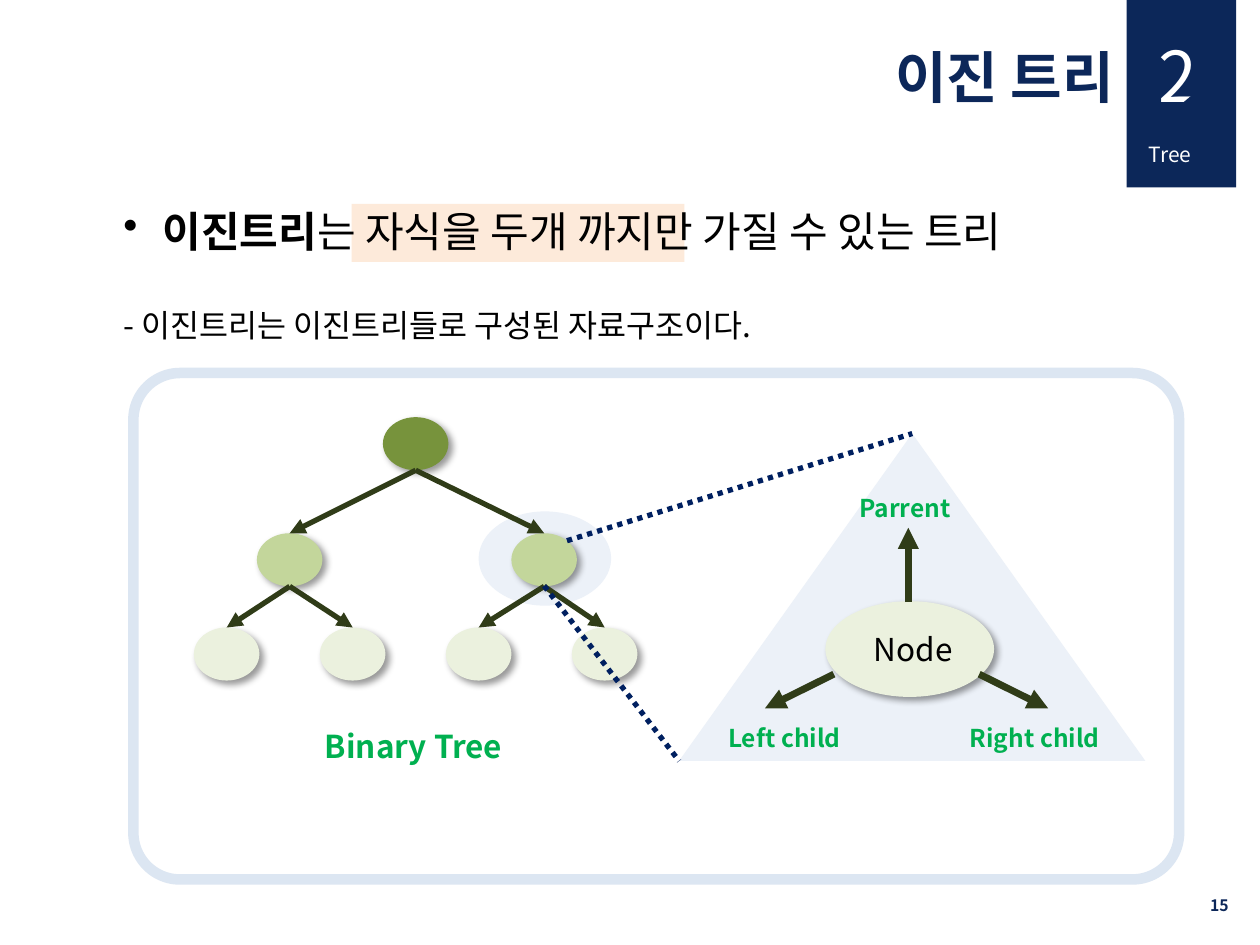
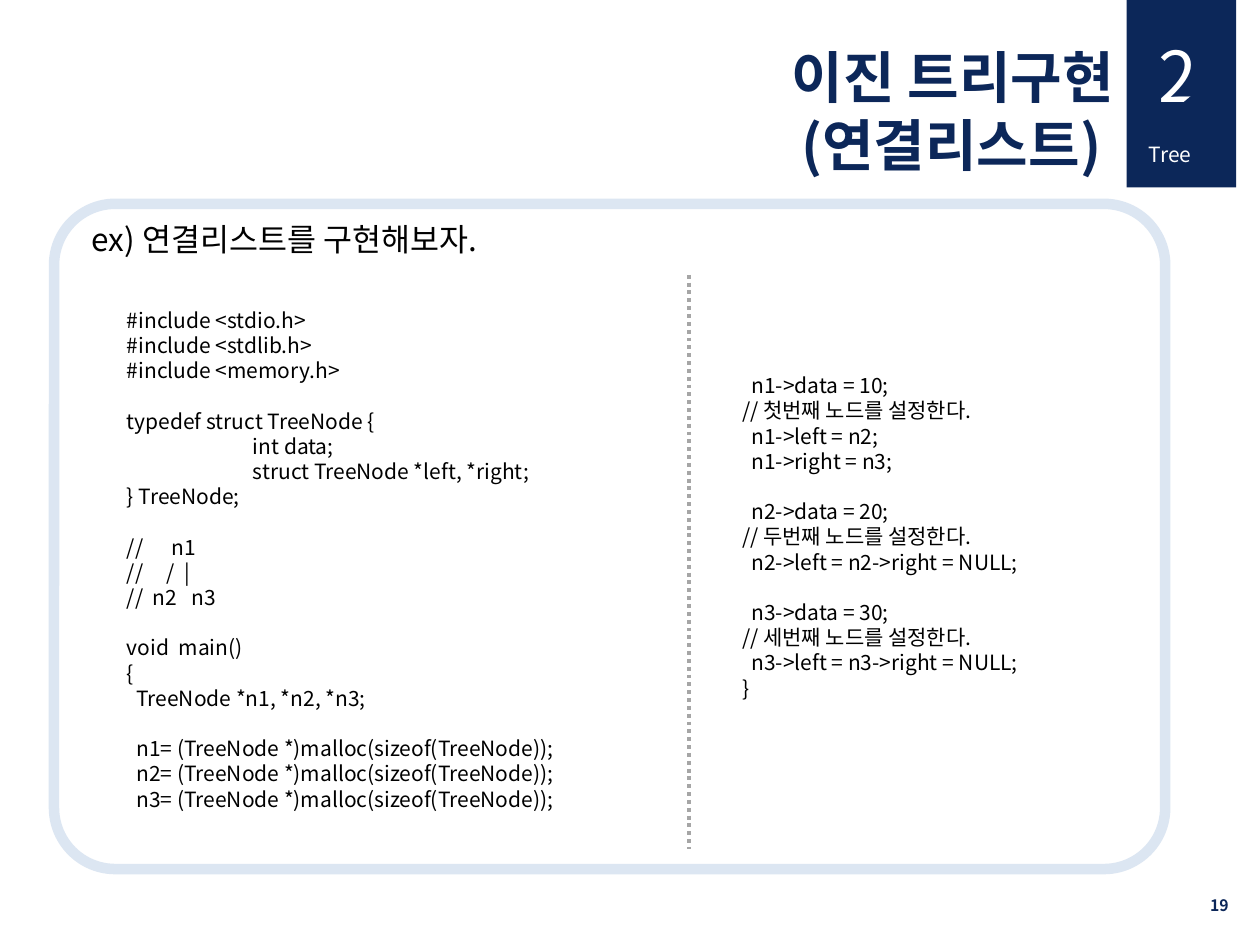
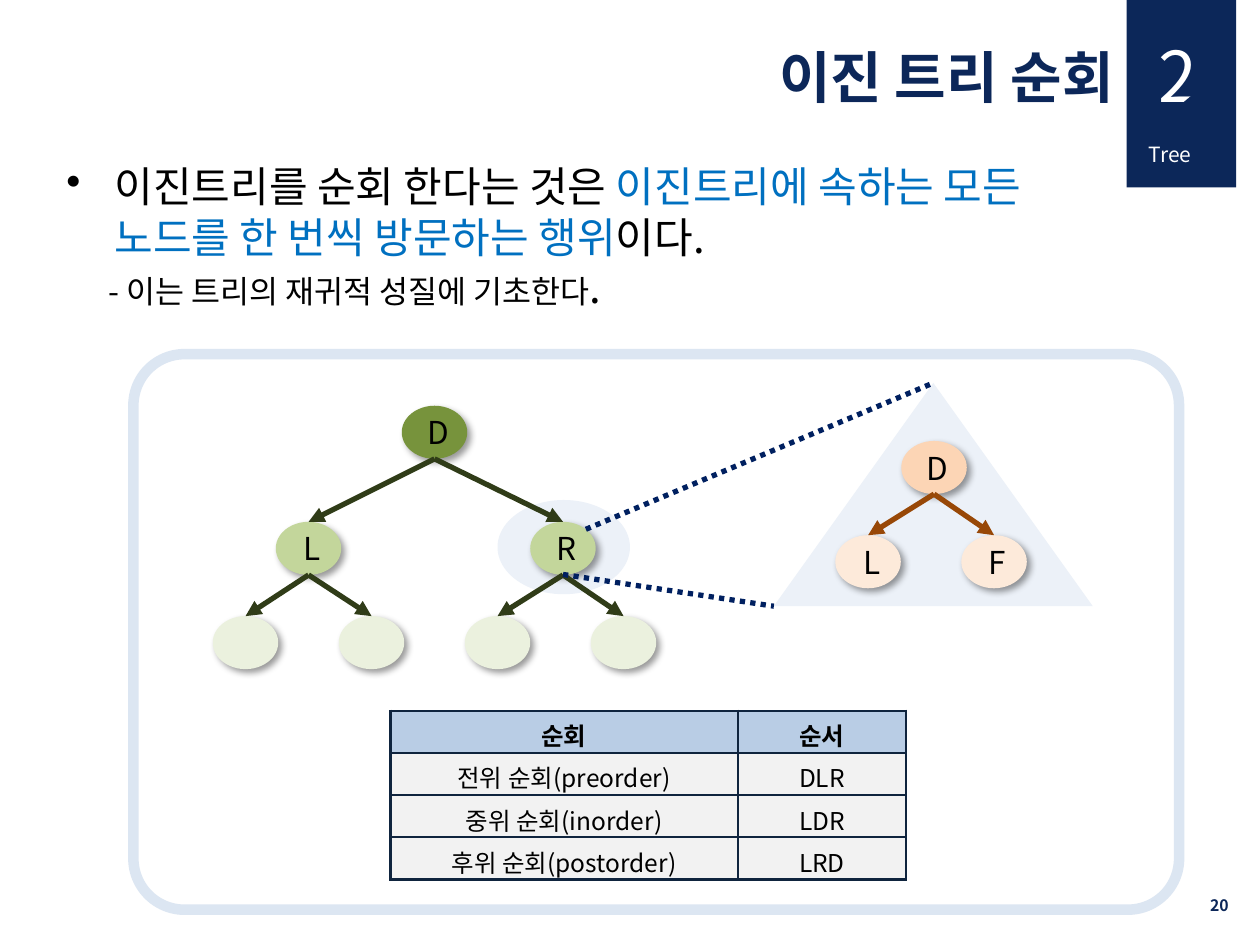
from lxml.etree import SubElement
from pptx import Presentation
from pptx.dml.color import RGBColor
from pptx.enum.dml import MSO_LINE
from pptx.enum.shapes import MSO_CONNECTOR, MSO_SHAPE
from pptx.enum.text import MSO_ANCHOR, PP_ALIGN
from pptx.oxml.ns import qn
from pptx.util import Cm, Pt

FONT = "Noto Sans CJK KR"
HUES = {
    "navy": "0C2759", "white": "FFFFFF", "black": "000000",
    "frame": "DCE6F2", "pale": "ECF1F8", "peach": "FDEADA",
    "root": "77933C", "branch": "C3D69B", "leaf": "EBF1DE",
    "arrow": "303C18", "label": "00B050", "dots": "002060",
    "rule": "A6A6A6", "key": "0070C0", "apricot": "FCD5B5",
    "brown": "984807", "border": "0F243E", "head": "B9CDE5",
    "body": "F2F2F2",
}
NODE = (1.32, 1.07)
STEP = 2.54
TAB = 2.54
INDENT = 0.19

LEFT_CODE = """#include <stdio.h>
#include <stdlib.h>
#include <memory.h>

typedef struct TreeNode {
\tint data;
\tstruct TreeNode *left, *right;
} TreeNode;

//      n1
//     /  |
//  n2   n3

void  main()
{
  TreeNode *n1, *n2, *n3;

  n1= (TreeNode *)malloc(sizeof(TreeNode));
  n2= (TreeNode *)malloc(sizeof(TreeNode));
  n3= (TreeNode *)malloc(sizeof(TreeNode));"""

RIGHT_CODE = """  n1->data = 10;
// 첫번째 노드를 설정한다.
  n1->left = n2;
  n1->right = n3;

  n2->data = 20;
// 두번째 노드를 설정한다.
  n2->left = n2->right = NULL;

  n3->data = 30;
// 세번째 노드를 설정한다.
  n3->left = n3->right = NULL;
}"""

ORDERS = [
    ("순회", "순서"),
    ("전위 순회(preorder)", "DLR"),
    ("중위 순회(inorder)", "LDR"),
    ("후위 순회(postorder)", "LRD"),
]


def rgb(name):
    return RGBColor.from_string(HUES[name])


def write(frame, text, size=18, color="black", bold=False, align=None,
          left=0, hang=0, gap=0, mark=None):
    """Add a paragraph; text is a string or a list of (string, format) runs."""
    para = frame.paragraphs[0]
    if para.runs:
        para = frame.add_paragraph()
    para.alignment = align
    para.space_before = Pt(gap)
    if left or mark:
        props = para._p.get_or_add_pPr()
        props.set("marL", str(Cm(left)))
        props.set("indent", str(Cm(-hang)))
        if mark:
            SubElement(props, qn("a:buChar"), char=mark)
    base = {"size": size, "color": color, "bold": bold}
    for part, extra in [(text, {})] if isinstance(text, str) else text:
        form = {**base, **extra}
        run = para.add_run()
        run.text = part
        font = run.font
        font.size = Pt(form["size"])
        font.bold = form["bold"]
        font.color.rgb = rgb(form["color"])
        font.name = FONT
        SubElement(run._r.get_or_add_rPr(), qn("a:ea"), typeface=FONT)


def area(slide, box, text=None, wrap=True, anchor=MSO_ANCHOR.TOP, **form):
    """Add a text box and return its frame."""
    frame = slide.shapes.add_textbox(*map(Cm, box)).text_frame
    frame.word_wrap = wrap
    frame.vertical_anchor = anchor
    if text:
        write(frame, text, **form)
    return frame


def block(slide, kind, box, color):
    """Add a flat filled shape."""
    shape = slide.shapes.add_shape(kind, *map(Cm, box))
    shape.shadow.inherit = False
    shape.fill.solid()
    shape.fill.fore_color.rgb = rgb(color)
    shape.line.fill.background()
    return shape


def link(slide, start, end, color="arrow", width=3, dots=False):
    """Draw an arrow, or a dotted line without a head."""
    line = slide.shapes.add_connector(
        MSO_CONNECTOR.STRAIGHT, *map(Cm, (*start, *end)))
    line.line.color.rgb = rgb(color)
    line.line.width = Pt(width)
    if dots:
        line.line.dash_style = MSO_LINE.ROUND_DOT
    else:
        SubElement(line.get_or_add_ln(), qn("a:tailEnd"), type="triangle")
    SubElement(line._element.spPr, qn("a:effectLst"))


def node(slide, x, y, color, name="", size=NODE):
    """Add a shadowed oval; return the middle of its top and bottom."""
    wide, high = size
    oval = block(slide, MSO_SHAPE.OVAL, (x, y, wide, high), color)
    glow = SubElement(
        oval._element.spPr.find(qn("a:effectLst")), qn("a:outerShdw"),
        blurRad=str(Pt(4)), dist=str(Pt(3)), dir=str(45 * 60000),
        algn="tl", rotWithShape="0")
    tint = SubElement(glow, qn("a:srgbClr"), val=HUES["black"])
    SubElement(tint, qn("a:alpha"), val="40000")
    if name:
        frame = oval.text_frame
        frame.word_wrap = False
        frame.vertical_anchor = MSO_ANCHOR.MIDDLE
        write(frame, " " + name, align=PP_ALIGN.CENTER)
    mid = x + wide / 2
    return (mid, y), (mid, y + high)


def fan(slide, top, kids, color="arrow"):
    """Join the foot of one node to the heads of its children."""
    for kid in kids:
        link(slide, top[1], kid[0], color)


def tree(slide, x, y, names=("", "", "")):
    """Draw the seven-node tree from its top left corner."""
    block(slide, MSO_SHAPE.OVAL, (x + 5.74, y + 1.9, 2.67, 1.9), "pale")
    root = node(slide, x + 1.5 * STEP, y, "root", names[0])
    pair = [node(slide, x + dx, y + 2.34, "branch", name)
            for dx, name in zip((1.27, 6.4), names[1:])]
    ends = [node(slide, x + i * STEP, y + 4.24, "leaf") for i in range(4)]
    fan(slide, root, pair)
    fan(slide, pair[0], ends[:2])
    fan(slide, pair[1], ends[2:])


def zoom(slide, x, y, box):
    """Open the right branch of the tree at x, y into a triangle."""
    left, top, wide, high = box
    block(slide, MSO_SHAPE.ISOSCELES_TRIANGLE, box, "pale")
    for start, end in (((7.06, 3.4), (left, top + high)),
                       ((7.52, 2.49), (left + wide / 2, top))):
        link(slide, (x + start[0], y + start[1]), end, "dots", dots=True)


def parts(slide, x, y):
    """Label a node's three neighbours inside the triangle."""
    node(slide, x + 2.95, y + 3.38, "leaf", "Node", (3.4, 1.93))
    for x1, y1, x2, y2 in ((3.12, 4.85, 1.73, 5.54),
                           (6.05, 4.85, 7.44, 5.54),
                           (4.62, 3.4, 4.62, 1.9)):
        link(slide, (x + x1, y + y1), (x + x2, y + y2), width=4)
    for dx, dy, wide, name in ((3.38, 1.07, 2.67, "Parrent"),
                               (0.74, 5.72, 3.2, "Left child"),
                               (5.61, 5.72, 3.51, "Right child")):
        area(slide, (x + dx, y + dy, wide, 0.86), name, wrap=False,
             size=14, color="label", bold=True)


def trio(slide, x, y):
    """Draw the small subtree inside the triangle."""
    kids = [node(slide, x + 1.24 + i * STEP, y + 3.07, "peach", name)
            for i, name in enumerate("LF")]
    top = node(slide, x + 2.57, y + 1.17, "apricot", "D")
    fan(slide, top, kids, "brown")


def badge(slide, x, y):
    block(slide, MSO_SHAPE.RECTANGLE, (x, y, 2.21, 3.78), "navy")
    area(slide, (x + 0.2, y + 2.72, 2.01, 0.76), "Tree", size=12,
         color="white")
    area(slide, (x + 0.4, y + 0.53, 1.6, 1.96), "2", size=40, color="white")
    fold = block(slide, MSO_SHAPE.ISOSCELES_TRIANGLE,
                 (x + 0.61, y + 1.52, 1.19, 0.99), "navy")
    fold.adjustments[0] = 1


def panel(slide, box):
    shape = block(slide, MSO_SHAPE.ROUNDED_RECTANGLE, box, "white")
    shape.adjustments[0] = 0.092
    shape.fill.background()
    shape.line.color.rgb = rgb("frame")
    shape.line.width = Pt(6)


def page(deck, title, number, box):
    """Start a slide with its title, badge, page number and panel."""
    slide = deck.slides.add_slide(deck.slide_layouts[6])
    form = {"color": "navy", "bold": True, "align": PP_ALIGN.RIGHT}
    frame = area(slide, (13.71, 0.74, 9, 1.63))
    for line in title:
        write(frame, line, size=32, **form)
    badge(slide, 22.71, 0)
    area(slide, (19.1, 17.73, 5.92, 1.02), number,
         anchor=MSO_ANCHOR.MIDDLE, size=9, **form)
    panel(slide, box)
    return slide


def code(slide, box, text):
    """Set a listing, turning leading space into paragraph indents."""
    frame = area(slide, box)
    for i, part in enumerate(text.split("\n\n")):
        for j, line in enumerate(part.split("\n")):
            left = (TAB if line.startswith("\t")
                    else INDENT if line.startswith("  ") else 0)
            write(frame, line.lstrip(), size=12, left=left,
                  gap=14.4 if i and not j else 0)


def edge(cell):
    props = cell._tc.get_or_add_tcPr()
    for side in ("lnL", "lnR", "lnT", "lnB"):
        line = SubElement(props, qn("a:" + side), w=str(Pt(1.5)))
        fill = SubElement(line, qn("a:solidFill"))
        SubElement(fill, qn("a:srgbClr"), val=HUES["border"])


def grid(slide, x, y, rows, cols, high):
    """Draw the table of visiting orders."""
    table = slide.shapes.add_table(
        len(rows), len(cols), Cm(x), Cm(y), Cm(sum(cols)),
        Cm(high * len(rows))).table
    table.first_row = table.horz_banding = False
    for col, wide in zip(table.columns, cols):
        col.width = Cm(wide)
    for i, row in enumerate(rows):
        table.rows[i].height = Cm(high)
        for j, text in enumerate(row):
            cell = table.cell(i, j)
            edge(cell)
            cell.fill.solid()
            cell.fill.fore_color.rgb = rgb("body" if i else "head")
            write(cell.text_frame, text, size=14, bold=not i,
                  align=PP_ALIGN.CENTER)


def concept(deck):
    slide = page(deck, ["이진 트리"], "15", (2.69, 7.52, 21.08, 10.21))
    block(slide, MSO_SHAPE.RECTANGLE, (7.09, 4.11, 6.71, 1.17), "peach")
    frame = area(slide, (2.24, 4.01, 20.22, 3.07))
    write(frame, [("이진트리", {"bold": True}),
                  ("는 자식을 두개 까지만 가질 수 있는 트리", {})],
          size=24, left=0.79, hang=0.79, mark="•")
    write(frame, "- 이진트리는 이진트리들로 구성된 자료구조이다.", gap=29)
    x, y = 3.91, 8.41
    tree(slide, x, y)
    area(slide, (6.3, 14.53, 4.62, 1.02), "Binary Tree", wrap=False,
         color="label", bold=True)
    box = (13.69, 8.74, 9.4, 6.6)
    zoom(slide, x, y, box)
    parts(slide, *box[:2])


def listing(deck):
    slide = page(deck, ["이진 트리구현", "(연결리스트) "], "19",
                 (1.09, 4.11, 22.4, 13.41))
    area(slide, (1.6, 4.32, 17.9, 1.02), "ex) 연결리스트를 구현해보자.")
    code(slide, (2.31, 6.07, 11.4, 10.52), LEFT_CODE)
    code(slide, (14.71, 7.39, 8.6, 6.93), RIGHT_CODE)
    link(slide, (13.89, 5.54), (13.89, 17.12), "rule", 2.25, dots=True)


def visits(deck):
    slide = page(deck, ["이진 트리 순회"], "20", (2.69, 7.14, 21.08, 11.2))
    frame = area(slide, (1.09, 3.12, 22, 3.33))
    write(frame, [("이진트리를 순회 한다는 것은 ", {}),
                  ("이진트리에 속하는 모든 노드를 한 번씩 방문하는 행위",
                   {"color": "key"}),
                  ("이다.", {})],
          size=24, left=0.97, hang=0.97, mark="•")
    write(frame, [("- 이는 트리의 재귀적 성질에 기초한다", {}),
                  (".", {"size": 24})], left=0.85)
    x, y = 4.29, 8.18
    tree(slide, x, y, "DLR")
    box = (15.6, 7.72, 6.43, 4.5)
    zoom(slide, x, y, box)
    trio(slide, *box[:2])
    grid(slide, 7.87, 14.33, ORDERS, (7, 3.4), 0.85)


def main():
    deck = Presentation()
    deck.slide_width, deck.slide_height = Cm(25.4), Cm(19.05)
    for build in (concept, listing, visits):
        build(deck)
    deck.save("out.pptx")


if __name__ == "__main__":
    main()
